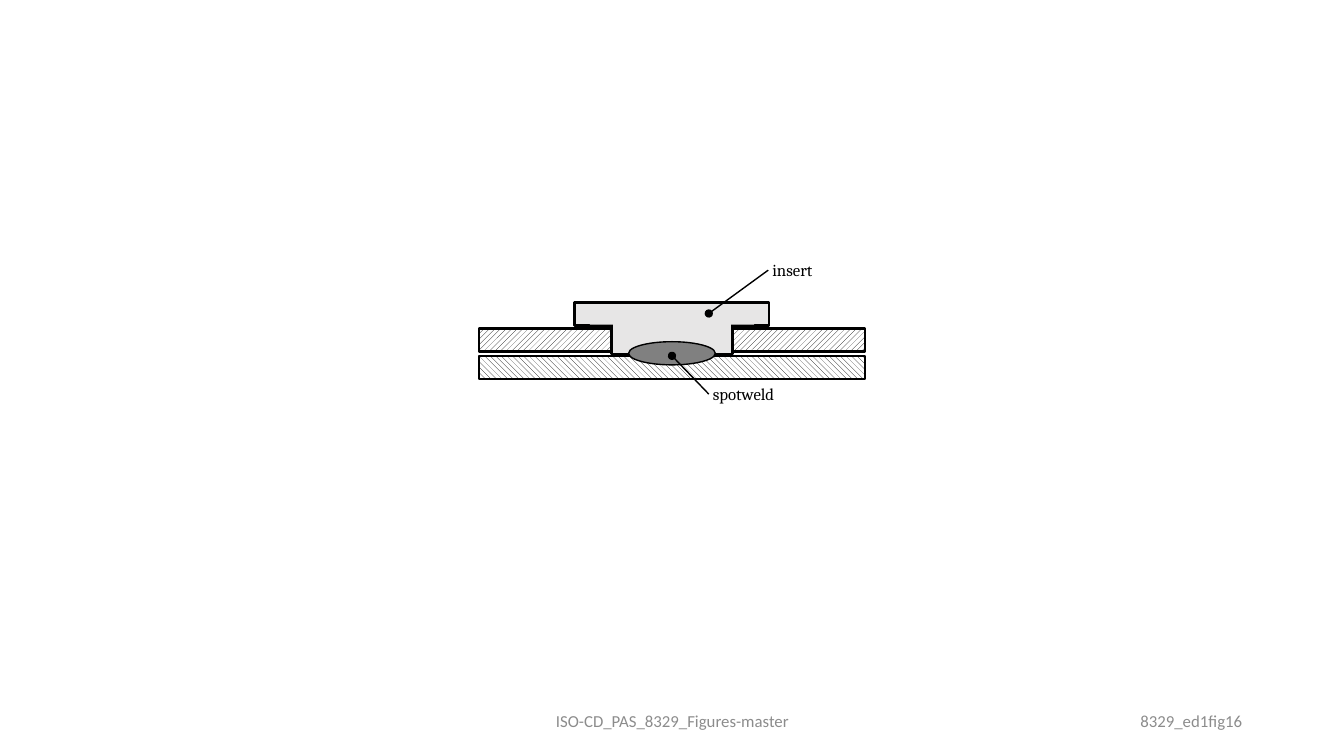
"""Draw a cross-section of an insert spot-welded to two sheets."""
from dataclasses import dataclass

from lxml import etree
from pptx import Presentation
from pptx import util as u
from pptx.dml.color import RGBColor
from pptx.enum import dml, shapes, text
from pptx.oxml import ns

WIDTH, HEIGHT = 13.33, 7.5
AXIS = WIDTH / 2


@dataclass(frozen=True)
class Theme:
    ink: str = "000000"
    paper: str = "FFFFFF"
    insert: str = "E7E6E6"
    weld: str = "808080"
    footer: str = "8C8C8C"
    label_font: str = "Cambria"
    footer_font: str = "Calibri"
    size: int = 12
    heavy: float = 1.75
    light: float = 1


THEME = Theme()
KIND = shapes.MSO_SHAPE
HATCH = dml.MSO_PATTERN

FOOTERS = [
    ("ISO-CD_PAS_8329_Figures-master", 4.42, 4.5, text.PP_ALIGN.CENTER),
    ("8329_ed1fig16", 9.42, 3, text.PP_ALIGN.RIGHT),
]
FOOTER_TOP, FOOTER_HEIGHT = 6.95, 0.4

# Parts centred on the axis: kind, top, width, height, fill, outline
PARTS = [
    (KIND.RECTANGLE, 3.53, 3.83, 0.23, HATCH.WIDE_DOWNWARD_DIAGONAL, THEME.heavy),
    (KIND.RECTANGLE, 3.26, 3.83, 0.23, HATCH.WIDE_UPWARD_DIAGONAL, THEME.heavy),
    (KIND.RECTANGLE, 3.0, 1.93, 0.23, THEME.insert, THEME.heavy),
    (KIND.SNIP_2_SAME_RECTANGLE, 3.07, 1.2, 0.44, THEME.insert, THEME.heavy),
    (KIND.RECTANGLE, 3.03, 1.63, 0.19, THEME.insert, None),
    (KIND.OVAL, 3.39, 0.86, 0.23, THEME.weld, THEME.light),
]

# Labels: wording, left, top, width, point marked
LABELS = [
    ("insert", 7.62, 2.58, 0.46, (7.03, 3.11)),
    ("spotweld", 7.03, 3.81, 0.7, (AXIS, 3.53)),
]
LABEL_HEIGHT = 0.2


def colour(value):
    return RGBColor.from_string(value)


def inches(*lengths):
    return [u.Inches(length) for length in lengths]


def add_part(group, kind, top, width, height, fill, outline):
    part = group.shapes.add_shape(kind, *inches(AXIS - width / 2, top, width, height))
    part.shadow.inherit = False
    if kind == KIND.SNIP_2_SAME_RECTANGLE:
        part.adjustments[0] = part.adjustments[1] = 0
    if isinstance(fill, HATCH):
        part.fill.patterned()
        part.fill.pattern = fill
        part.fill.fore_color.rgb = colour(THEME.ink)
        part.fill.back_color.rgb = colour(THEME.paper)
    else:
        part.fill.solid()
        part.fill.fore_color.rgb = colour(fill)
    if outline:
        part.line.color.rgb = colour(THEME.ink)
        part.line.width = u.Pt(outline)
    else:
        part.line.fill.background()


def add_text(parent, wording, place, font, ink):
    box = parent.shapes.add_textbox(*inches(*place))
    para = box.text_frame.paragraphs[0]
    para.text = wording
    para.font.name = font
    para.font.size = u.Pt(THEME.size)
    para.font.color.rgb = colour(ink)
    return box


def add_label(group, wording, left, top, width):
    box = add_text(group, wording, (left, top, width, LABEL_HEIGHT),
                   THEME.label_font, THEME.ink)
    frame = box.text_frame
    frame.margin_left = u.Inches(0.04)
    frame.margin_top = frame.margin_right = frame.margin_bottom = 0
    frame.word_wrap = False
    frame.auto_size = text.MSO_AUTO_SIZE.SHAPE_TO_FIT_TEXT
    return box


def add_leader(group, label, target):
    end = inches(*target)
    leader = group.shapes.add_connector(
        shapes.MSO_CONNECTOR.STRAIGHT, label.left, label.top, *end)
    leader.begin_connect(label, 1)
    leader.line.color.rgb = colour(THEME.ink)
    leader.line.width = u.Pt(THEME.light)
    etree.SubElement(leader.line._get_or_add_ln(), ns.qn("a:tailEnd"), type="oval")
    etree.SubElement(leader._element.spPr, ns.qn("a:effectLst"))


def main():
    deck = Presentation()
    deck.slide_width, deck.slide_height = inches(WIDTH, HEIGHT)
    page = deck.slides.add_slide(deck.slide_layouts[6])

    for wording, left, width, align in FOOTERS:
        box = add_text(page, wording, (left, FOOTER_TOP, width, FOOTER_HEIGHT),
                       THEME.footer_font, THEME.footer)
        box.text_frame.word_wrap = True
        box.text_frame.vertical_anchor = text.MSO_ANCHOR.MIDDLE
        box.text_frame.paragraphs[0].alignment = align

    joint = page.shapes.add_group_shape()
    for part in PARTS:
        add_part(joint, *part)
    labels = [add_label(joint, *label[:4]) for label in LABELS]
    for box, label in zip(labels, LABELS):
        add_leader(joint, box, label[4])

    deck.save("out.pptx")


if __name__ == "__main__":
    main()
